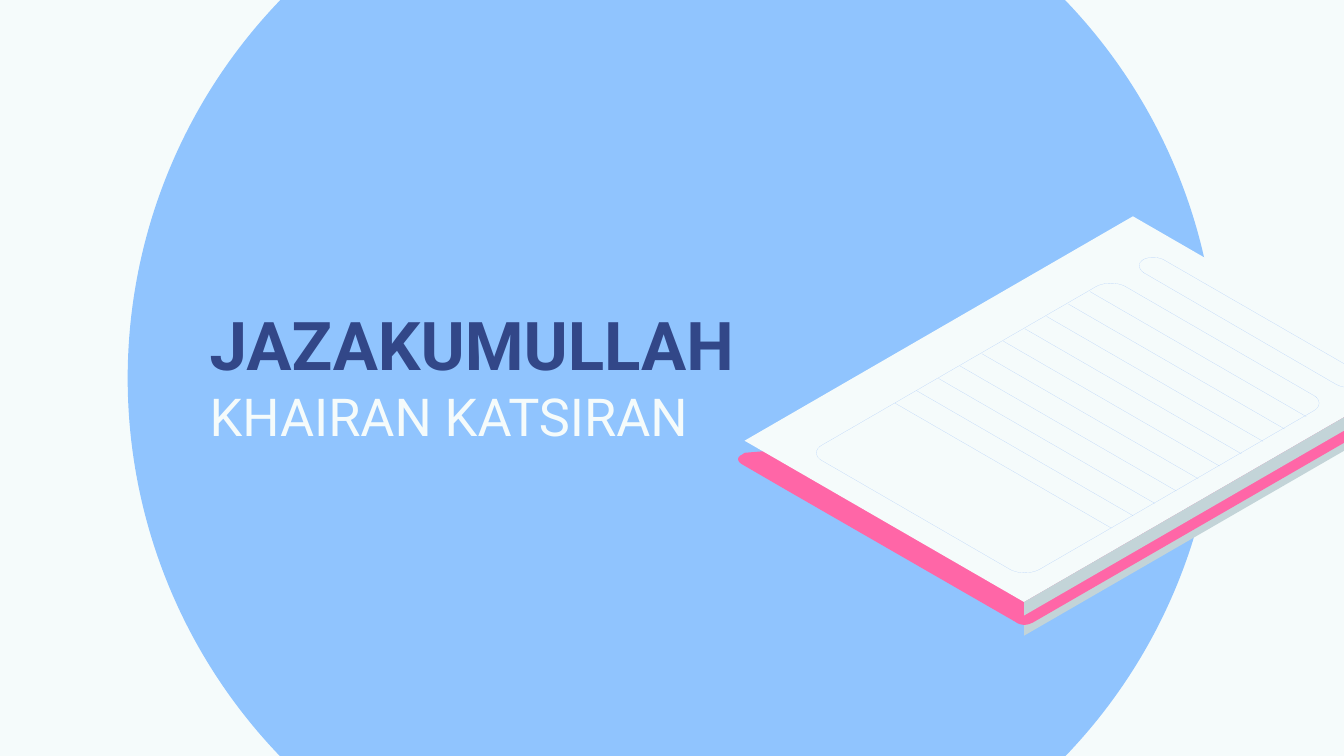
"""Build a closing slide with a tilted notebook over a large blue circle."""
import dataclasses
import typing

import lxml.etree
import pptx
import pptx.dml.color
import pptx.enum.shapes
import pptx.enum.text
import pptx.oxml.ns
import pptx.util

Point = tuple[float, float]
Segment = tuple[Point, ...]
Inches = pptx.util.Inches


@dataclasses.dataclass(frozen=True)
class Theme:
    """Colours, font and sizes of the slide."""
    paper: str = "F5FBFB"
    circle: str = "90C4FE"
    navy: str = "324788"
    cover: str = "FF66A7"
    edge: str = "C3D4D8"
    ruling: str = "AACAF9"
    font: str = "Roboto"
    title_size: float = 36
    subtitle_size: float = 28
    ruling_width: float = 0.06


@dataclasses.dataclass(frozen=True)
class Outline:
    """Closed outline of straight (one point) and Bezier (three point) segments."""
    start: Point
    segments: tuple[Segment, ...]
    fill: typing.Optional[str] = None


@dataclasses.dataclass(frozen=True)
class Label:
    """Text of one title part with its format."""
    text: str
    size: float
    color: str
    bold: bool


THEME = Theme()
CURVE_STEPS = 8
RULE_COUNT = 10
RULE_START = (8.11, 2.17)
RULE_END = (6.66, 3.0)
RULE_SPAN = (1.61, 0.93)
LABELS = (
    Label("JAZAKUMULLAH ", THEME.title_size, THEME.navy, True),
    Label("KHAIRAN KATSIRAN", THEME.subtitle_size, THEME.paper, False),
)


def color(value: str) -> pptx.dml.color.RGBColor:
    """Return the colour for a hex value."""
    return pptx.dml.color.RGBColor.from_string(value)


def side(top: float, depth: float) -> Outline:
    """Return the front right side of a layer, with its far corner at top."""
    near = top + 1.67
    return Outline((10.51, top), (
        ((7.62, near),), ((7.62, near + depth),), ((10.51, top + depth),)), THEME.edge)


BOOK = (
    side(2.97, 0.09),
    Outline((10.51, 2.91), (
        ((10.32, 2.93),), ((5.9, 3.34),), ((5.54, 3.37),),
        ((5.54, 3.37), (5.53, 3.38), (5.51, 3.39)),
        ((5.48, 3.41), (5.49, 3.44), (5.53, 3.46)),
        ((5.84, 3.64),), ((7.56, 4.63),),
        ((7.57, 4.64), (7.6, 4.65), (7.62, 4.65)),
        ((7.65, 4.65), (7.67, 4.64), (7.69, 4.63)),
        ((10.53, 2.99),),
        ((10.57, 2.97), (10.58, 2.94), (10.56, 2.93))), THEME.cover),
    Outline((8.43, 1.61), (((5.54, 3.28),), ((7.62, 4.48),), ((10.51, 2.81),)), THEME.paper),
    side(2.81, 0.1),
)
TEXT_FRAME = Outline((8.16, 2.13), (
    ((6.12, 3.31),), ((6.06, 3.34), (6.06, 3.4), (6.12, 3.43)),
    ((7.52, 4.24),), ((7.58, 4.27), (7.67, 4.27), (7.73, 4.24)),
    ((9.77, 3.06),), ((9.83, 3.03), (9.83, 2.97), (9.77, 2.94)),
    ((8.37, 2.13),), ((8.31, 2.1), (8.22, 2.1), (8.16, 2.13))))
HEADING_FRAME = Outline((8.51, 1.93), (
    ((8.55, 1.91), (8.63, 1.91), (8.67, 1.94)),
    ((10.11, 2.77),), ((10.15, 2.79), (10.16, 2.84), (10.11, 2.86)),
    ((10.06, 2.89), (9.99, 2.89), (9.94, 2.86)),
    ((8.51, 2.03),), ((8.47, 2.0), (8.46, 1.96), (8.51, 1.93))))


def trace(outline: Outline) -> list[Point]:
    """Return the outline's points, with its curves divided into short steps."""
    points = [outline.start]
    for segment in outline.segments:
        if len(segment) == 1:
            points.append(segment[0])
            continue
        controls = (points[-1], *segment)
        for step in range(1, CURVE_STEPS + 1):
            t = step / CURVE_STEPS
            weights = ((1 - t) ** 3, 3 * t * (1 - t) ** 2, 3 * t ** 2 * (1 - t), t ** 3)
            points.append((sum(w * p[0] for w, p in zip(weights, controls)),
                           sum(w * p[1] for w, p in zip(weights, controls))))
    return points


def style_line(line: typing.Any) -> None:
    """Give a line the ruling colour and width."""
    line.color.rgb = color(THEME.ruling)
    line.width = pptx.util.Pt(THEME.ruling_width)


def draw_outline(page: typing.Any, outline: Outline) -> None:
    """Draw a filled layer or an unfilled ruled frame."""
    points = [(Inches(x), Inches(y)) for x, y in trace(outline)]
    builder = page.shapes.build_freeform(*points[0])
    builder.add_line_segments(points[1:], close=True)
    shape = builder.convert_to_shape()
    shape.shadow.inherit = False
    if outline.fill:
        shape.fill.solid()
        shape.fill.fore_color.rgb = color(outline.fill)
        shape.line.fill.background()
    else:
        shape.fill.background()
        style_line(shape.line)


def draw_rule(page: typing.Any, index: int) -> None:
    """Draw one writing line of the notebook."""
    share = index / (RULE_COUNT - 1)
    left, top = (first + share * (last - first) for first, last in zip(RULE_START, RULE_END))
    rule = page.shapes.add_connector(
        pptx.enum.shapes.MSO_CONNECTOR.STRAIGHT, Inches(left), Inches(top),
        Inches(left + RULE_SPAN[0]), Inches(top + RULE_SPAN[1]))
    style_line(rule.line)
    properties = rule.element.find(pptx.oxml.ns.qn("p:spPr"))
    lxml.etree.SubElement(properties, pptx.oxml.ns.qn("a:effectLst"))


def draw_circle(page: typing.Any) -> None:
    """Draw the large circle behind the title."""
    circle = page.shapes.add_shape(
        pptx.enum.shapes.MSO_SHAPE.OVAL,
        Inches(0.95), Inches(-1.24), Inches(8.11), Inches(8.11))
    circle.shadow.inherit = False
    circle.fill.solid()
    circle.fill.fore_color.rgb = color(THEME.circle)
    circle.line.fill.background()
    page.shapes.title.element.addprevious(circle.element)


def write_title(page: typing.Any) -> None:
    """Place the title and write its two parts."""
    title = page.shapes.title
    title.left, title.top = Inches(1.46), Inches(2.16)
    title.width, title.height = Inches(4.17), Inches(1.31)
    frame = title.text_frame
    frame.word_wrap = True
    frame.auto_size = pptx.enum.text.MSO_AUTO_SIZE.NONE
    frame.vertical_anchor = pptx.enum.text.MSO_ANCHOR.TOP
    frame.margin_left = frame.margin_right = Inches(0.1)
    frame.margin_top = frame.margin_bottom = Inches(0.1)
    para = frame.paragraphs[0]
    para.alignment = pptx.enum.text.PP_ALIGN.LEFT
    for label in LABELS:
        span = para.add_run()
        span.text = label.text
        span.font.name = THEME.font
        span.font.size = pptx.util.Pt(label.size)
        span.font.bold = label.bold
        span.font.color.rgb = color(label.color)


def main() -> None:
    """Build and save the deck."""
    deck = pptx.Presentation()
    deck.slide_width = Inches(10)
    deck.slide_height = deck.slide_width * 9 // 16
    page = deck.slides.add_slide(deck.slide_layouts.get_by_name("Title Only"))
    page.background.fill.solid()
    page.background.fill.fore_color.rgb = color(THEME.paper)
    write_title(page)
    draw_circle(page)
    for outline in (*BOOK, TEXT_FRAME):
        draw_outline(page, outline)
    for index in range(RULE_COUNT):
        draw_rule(page, index)
    draw_outline(page, HEADING_FRAME)
    deck.save("out.pptx")


if __name__ == "__main__":
    main()
